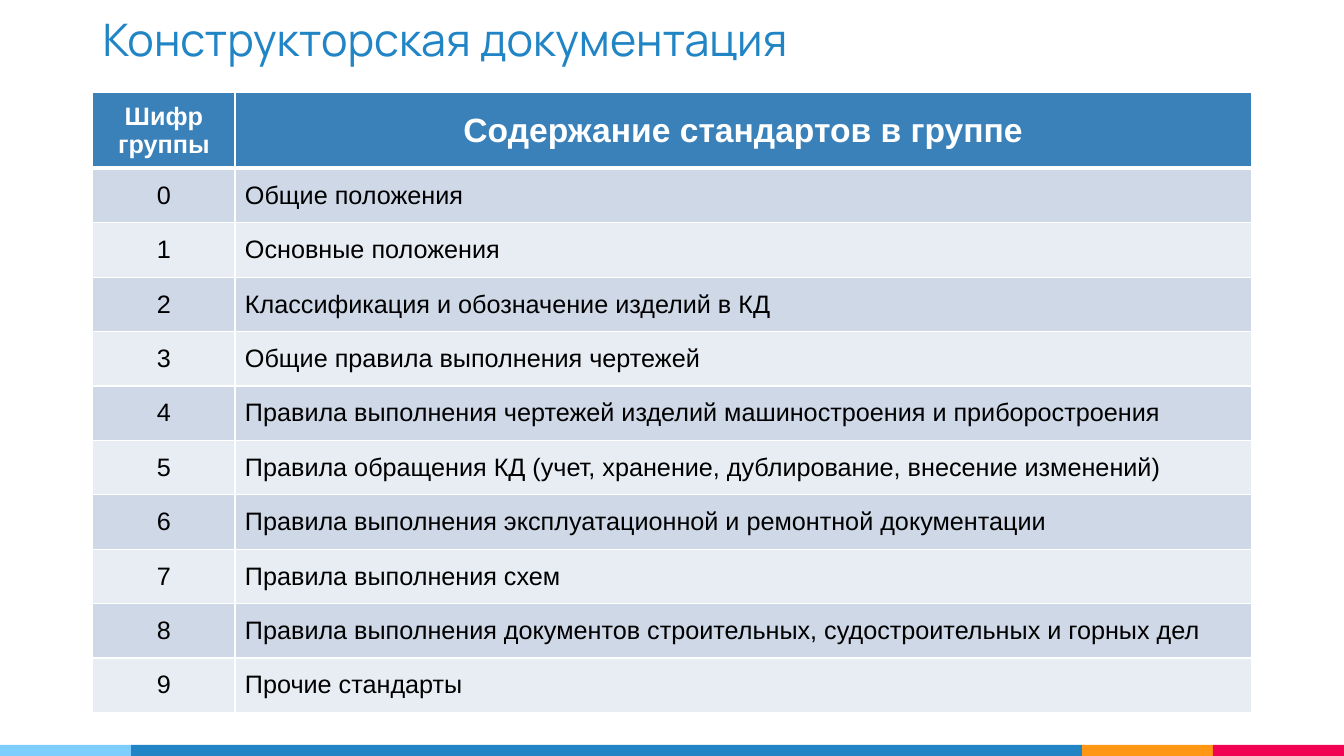
from lxml import etree
from pptx import Presentation
from pptx import util as u
from pptx.dml.color import RGBColor
from pptx.enum import shapes, text
from pptx.oxml.ns import qn

theme = dict(
    sky="7ECEFD", blue="2185C5", gold="FF9715", pink="F20253",
    head="3A81BA", bands=("CED8E7", "E8EDF3"), white="FFFFFF", ink="000000",
    face="Manrope", body="Arial", title=32, lead=24, text=18, thin=1, thick=3,
)
groups = [
    "Общие положения",
    "Основные положения",
    "Классификация и обозначение изделий в КД",
    "Общие правила выполнения чертежей",
    "Правила выполнения чертежей изделий машиностроения и приборостроения",
    "Правила обращения КД (учет, хранение, дублирование, внесение изменений)",
    "Правила выполнения эксплуатационной и ремонтной документации",
    "Правила выполнения схем",
    "Правила выполнения документов строительных, судостроительных и горных дел",
    "Прочие стандарты",
]


def write(frame, words, align, **form):
    para = frame.paragraphs[0]
    para.alignment = align
    run = para.add_run()
    run.text = words
    run.font.color.rgb = RGBColor.from_string(form.pop("color"))
    for key, val in form.items():
        setattr(run.font, key, val)


def edge(cell, side, width):
    props = cell._tc.get_or_add_tcPr()
    line = etree.SubElement(props, qn(f"a:ln{side}"), w=str(u.Pt(width)))
    fill = etree.SubElement(line, qn("a:solidFill"))
    etree.SubElement(fill, qn("a:srgbClr"), val=theme["white"])


deck = Presentation()
deck.slide_width, deck.slide_height = u.Inches(13.33), u.Inches(7.5)
wide, high = deck.slide_width, deck.slide_height
slide = deck.slides.add_slide(deck.slide_layouts[6])
left, center = text.PP_ALIGN.LEFT, text.PP_ALIGN.CENTER

end = u.Inches(1.3)
strip = u.Inches(0.11)
spans = [("gold", wide - 2 * end, end), ("pink", wide - end, end),
         ("sky", 0, end), ("blue", end, wide - 3 * end)]
for name, x, width in spans:
    bar = slide.shapes.add_shape(
        shapes.MSO_SHAPE.RECTANGLE, x, high - strip, width, strip)
    bar.shadow.inherit = False
    bar.fill.solid()
    bar.fill.fore_color.rgb = RGBColor.from_string(theme[name])
    bar.line.fill.background()

edge_x = u.Inches(0.92)
frame = slide.shapes.add_textbox(
    edge_x, u.Inches(0.02), u.Inches(10.87), u.Inches(1.01)).text_frame
inset = {f"margin_{side}": u.Inches(0.1)
         for side in ("left", "top", "right", "bottom")}
for key, val in {"word_wrap": True, **inset}.items():
    setattr(frame, key, val)
write(frame, "Конструкторская документация", left, color=theme["blue"],
      size=u.Pt(theme["title"]), name=theme["face"])

cols = [u.Inches(1.41), u.Inches(10.08)]
tall, row_h = u.Inches(0.75), u.Inches(0.54)
rows = [("Шифр группы", "Содержание стандартов в группе")]
rows += [(str(n), words) for n, words in enumerate(groups)]
grid = slide.shapes.add_table(
    len(rows), len(cols), edge_x, edge_x, sum(cols),
    tall + row_h * len(groups)).table
for col, width in zip(grid.columns, cols):
    col.width = width
for r, row in enumerate(rows):
    top = r == 0
    grid.rows[r].height = tall if top else row_h
    for c, words in enumerate(row):
        cell = grid.cell(r, c)
        cell.vertical_anchor = text.MSO_ANCHOR.MIDDLE
        for side in "LRTB":
            heavy = (side, r) in (("B", 0), ("T", 1))
            edge(cell, side, theme["thick" if heavy else "thin"])
        cell.fill.solid()
        shade = theme["head"] if top else theme["bands"][(r - 1) % 2]
        cell.fill.fore_color.rgb = RGBColor.from_string(shade)
        write(cell.text_frame, words, center if top or c == 0 else left,
              color=theme["white" if top else "ink"], bold=top,
              size=u.Pt(theme["lead" if top and c else "text"]),
              name=theme["body"])

deck.save("out.pptx")
